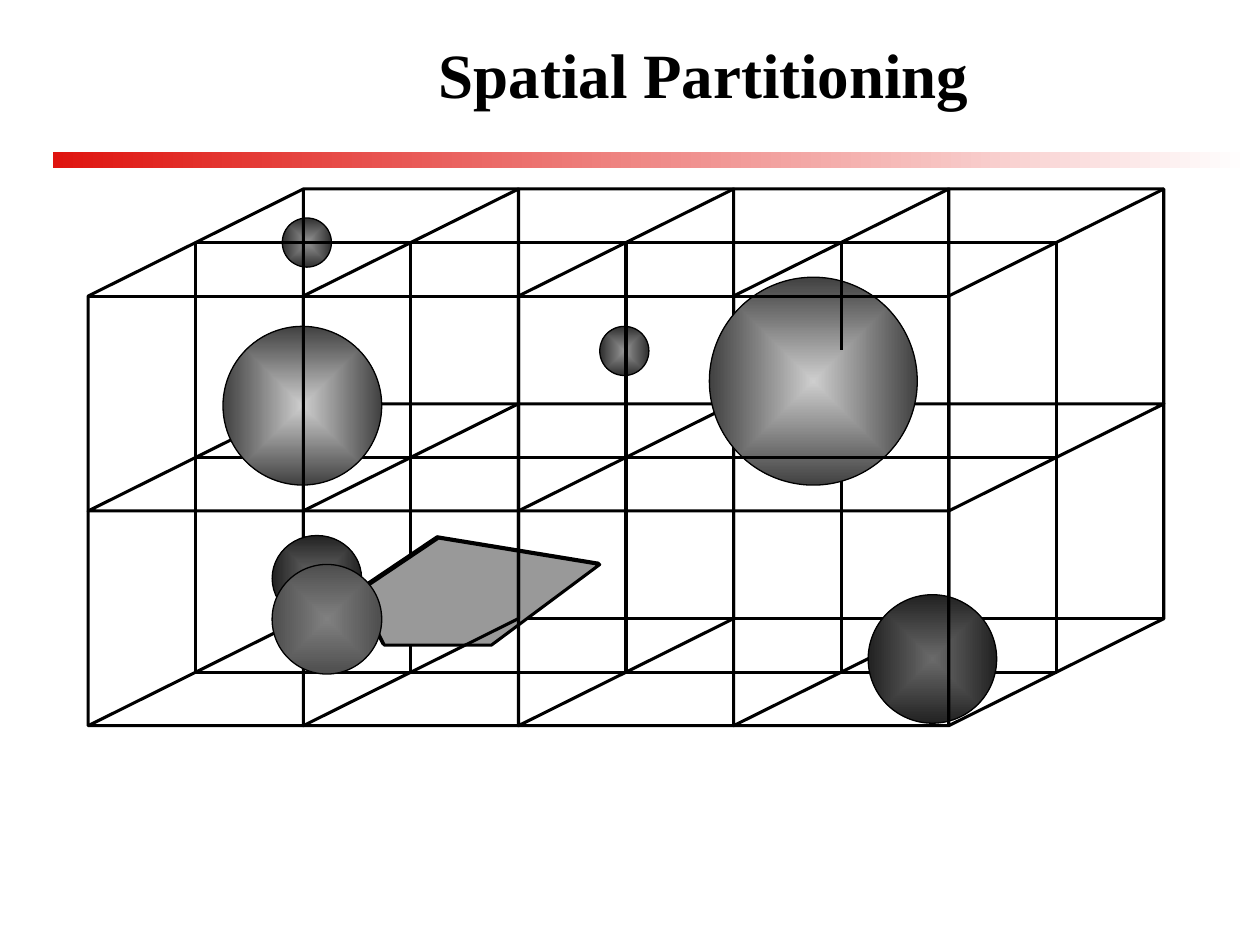
from lxml import etree
from pptx import Presentation
from pptx import util as u
from pptx.dml.color import RGBColor
from pptx.enum import shapes, text
from pptx.oxml import ns

BLACK = RGBColor(0x00, 0x00, 0x00)
WHITE = RGBColor(0xFF, 0xFF, 0xFF)
RED = RGBColor(0xDF, 0x14, 0x0F)
GREY = RGBColor(0x99, 0x99, 0x99)
# Sphere shades: centre and rim
LIGHT = (RGBColor(0xCE, 0xCE, 0xCE), RGBColor(0x41, 0x41, 0x41))
MEDIUM = (RGBColor(0x95, 0x95, 0x95), RGBColor(0x2F, 0x2F, 0x2F))
DULL = (RGBColor(0x80, 0x80, 0x80), RGBColor(0x4E, 0x4E, 0x4E))
DARK = (RGBColor(0x6A, 0x6A, 0x6A), RGBColor(0x22, 0x22, 0x22))

# Grid of 4 x 2 cells, one cell deep
LEFT, TOP = 0.7, 2.35
CELL_WIDTH, CELL_HEIGHT = 6.83 / 4, 3.41 / 2
DEPTH_RISE = 0.85


def corner(column, row, depth):
    """Slide position of a grid point; depth 0 is the front, 1 the back."""
    return (LEFT + (column + depth) * CELL_WIDTH,
            TOP + row * CELL_HEIGHT - depth * DEPTH_RISE)


def write(shape, content, font="Times New Roman", size=36, bold=False,
          color=BLACK, align=text.PP_ALIGN.CENTER):
    frame = shape.text_frame
    frame.word_wrap = True
    frame.vertical_anchor = text.MSO_ANCHOR.MIDDLE
    paragraph = frame.paragraphs[0]
    paragraph.text = content
    paragraph.alignment = align
    paragraph.font.name = font
    paragraph.font.size = u.Pt(size)
    paragraph.font.bold = bold
    paragraph.font.color.rgb = color


class Drawing:
    line_width = u.Pt(1.75)
    sphere_line_width = u.Pt(0.75)

    def __init__(self, slide):
        self.slide = slide

    def title(self, content, left, top, width, height):
        shape = self.slide.shapes.title
        shape.left, shape.top = u.Inches(left), u.Inches(top)
        shape.width, shape.height = u.Inches(width), u.Inches(height)
        write(shape, content, bold=True)

    def outline(self, shape, width):
        shape.line.color.rgb = BLACK
        shape.line.width = width

    def gradient_shape(self, kind, left, top, width, height, colors):
        shape = self.slide.shapes.add_shape(
            kind, u.Inches(left), u.Inches(top), u.Inches(width), u.Inches(height))
        shape.shadow.inherit = False
        shape.fill.gradient()
        shape.fill.gradient_angle = 0
        for stop, color, position in zip(shape.fill.gradient_stops, colors, (0, 1)):
            stop.color.rgb = color
            stop.position = position
        return shape

    def bar(self, left, top, width, height):
        shape = self.gradient_shape(shapes.MSO_SHAPE.RECTANGLE,
                                    left, top, width, height, (RED, WHITE))
        shape.line.fill.background()

    def sphere(self, left, top, width, height, colors):
        shape = self.gradient_shape(shapes.MSO_SHAPE.OVAL,
                                    left, top, width, height, colors)
        self.outline(shape, self.sphere_line_width)
        # Turn the linear gradient into one that spreads from the centre
        linear = shape._element.spPr.find(".//" + ns.qn("a:lin"))
        radial = etree.Element(ns.qn("a:path"), {"path": "shape"})
        etree.SubElement(radial, ns.qn("a:fillToRect"),
                         dict.fromkeys("ltrb", "50000"))
        linear.getparent().replace(linear, radial)

    def polyline(self, points, fill=None):
        points = [(u.Inches(x), u.Inches(y)) for x, y in points]
        builder = self.slide.shapes.build_freeform(*points[0], scale=1.0)
        builder.add_line_segments(points[1:], close=fill is not None)
        shape = builder.convert_to_shape()
        shape.shadow.inherit = False
        if fill is None:
            shape.fill.background()
        else:
            shape.fill.solid()
            shape.fill.fore_color.rgb = fill
        self.outline(shape, self.line_width)

    def line(self, start, end):
        connector = self.slide.shapes.add_connector(
            shapes.MSO_CONNECTOR.STRAIGHT,
            *(u.Inches(value) for value in (*start, *end)))
        self.outline(connector, self.line_width)
        etree.SubElement(connector._element.spPr, ns.qn("a:effectLst"))

    def grid_path(self, *grid_points):
        points = [corner(*point) for point in grid_points]
        if len(points) == 2:
            self.line(*points)
        else:
            self.polyline(points)

    def divider(self, column):
        """Upright wall between two columns of cells."""
        self.grid_path((column, 0, 1), (column, 0, 0), (column, 2, 0),
                       (column, 2, 1), (column, 0, 1))


def main():
    presentation = Presentation()
    presentation.slide_width = u.Inches(10)
    presentation.slide_height = u.Inches(7.5)
    slide = presentation.slides.add_slide(presentation.slide_layouts[5])
    drawing = Drawing(slide)

    # Heading with its red rule
    for top in (1.21, 1.25):
        drawing.bar(0.42, top, 9.5, 0.08)
    drawing.title("Spatial Partitioning", 1.17, 0.17, 8.83, 0.83)

    # Small spheres behind the grid
    drawing.sphere(2.24, 1.73, 0.39, 0.39, MEDIUM)
    drawing.sphere(4.76, 2.59, 0.39, 0.39, MEDIUM)

    # Outer box and its back edges
    drawing.grid_path((4, 0, 1), (4, 2, 1), (0, 2, 1), (0, 0, 1))
    drawing.grid_path((0, 0, 1), (4, 0, 1), (4, 2, 1), (4, 2, 0),
                      (0, 2, 0), (0, 0, 0), (0, 0, 1))
    drawing.grid_path((0, 2, 0), (0, 2, 1), (0, 0, 1))

    # Middle floor
    drawing.grid_path((0, 1, 0), (4, 1, 0), (4, 1, 1), (0, 1, 1), (0, 1, 0))
    for column in (1, 2):
        drawing.grid_path((column, 1, 0), (column, 1, 1))

    # Upright slice at half depth
    drawing.grid_path((0, 0, 0.5), (4, 0, 0.5), (4, 2, 0.5),
                      (0, 2, 0.5), (0, 0, 0.5))
    for column in (1, 3, 2):
        drawing.grid_path((column, 0, 0.5), (column, 2, 0.5))
    drawing.divider(3)

    # Flat polygon over its white base
    polygon = [(3.47, 4.26), (2.83, 4.69), (3.04, 5.11), (3.89, 5.11), (4.75, 4.47)]
    for offset, fill in ((0, WHITE), (0.01, GREY)):
        drawing.polyline([(x + offset, y + offset) for x, y in polygon], fill)

    # Large spheres, with the grid edges that pass in front of them
    drawing.divider(2)
    drawing.grid_path((0, 0, 0.5), (1, 0, 0.5))
    drawing.sphere(6.89, 4.72, 1.02, 1.02, DARK)
    drawing.grid_path((4, 0, 1), (4, 0, 0), (4, 2, 0))
    drawing.sphere(5.63, 2.2, 1.65, 1.65, LIGHT)
    drawing.grid_path((3, 0, 0.5), (3, 0.5, 0.5))
    drawing.grid_path((0, 0, 0), (4, 0, 0), (4, 2, 0))
    drawing.grid_path((0, 1, 0.5), (4, 1, 0.5))
    drawing.sphere(1.77, 2.59, 1.26, 1.26, LIGHT)
    drawing.divider(1)

    # Front spheres
    drawing.sphere(2.16, 4.25, 0.71, 0.68, DARK)
    drawing.sphere(2.16, 4.48, 0.87, 0.87, DULL)

    presentation.save("out.pptx")


if __name__ == "__main__":
    main()
